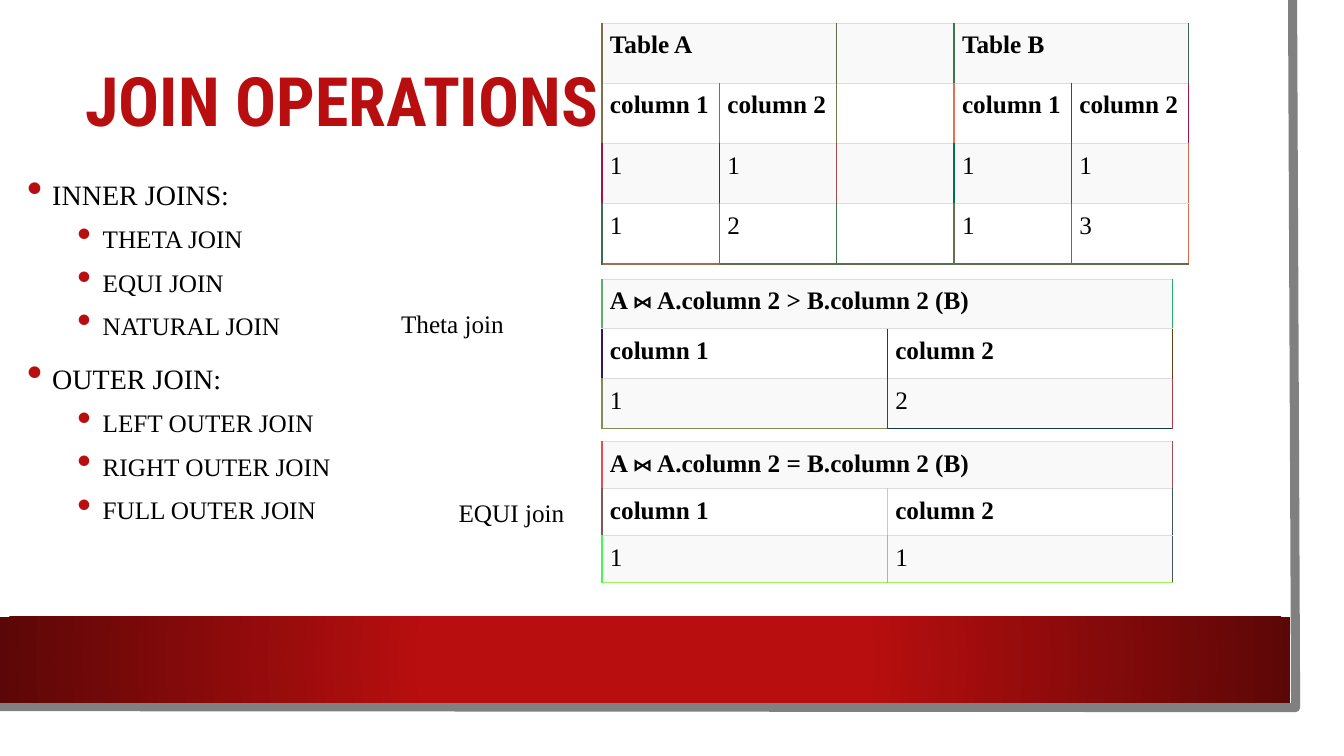
from lxml import etree
from pptx import Presentation
from pptx.dml.color import RGBColor as RGB
from pptx.enum.shapes import MSO_SHAPE as SHAPE
from pptx.enum.text import MSO_ANCHOR as ANCHOR, MSO_AUTO_SIZE as FIT
from pptx.oxml import parse_xml
from pptx.oxml.ns import nsdecls, qn
from pptx.util import Inches, Pt

COLORS = {
    "white": "FFFFFF", "black": "000000", "red": "B80E0F", "dark": "5C0707",
    "gray": "808080", "band": "F9F9F9", "rule": "DDDDDD",
}
# Upright cell edges, one string a row, from left to right
EDGES = {
    "source": ["806B4D 606B4D 606B4D 40744D 40694D 40694D",
               "80714D 80714D 80714D E0724D A0174D A0144D",
               "A0144D 004E4D A04B4D 00714D 206D4D E06C4D",
               "406D4D 60744D 40744D 60744D 60744D E06C4D"],
    "theta": ["60AD6C 20B06C 20B06C", "301962 20460B 60400B",
              "808E55 503A42 B03B42"],
    "equi": ["E04F57 A04F57 A04F57", "805657 A0F556 405657",
             "40FB56 40FB56 405657"],
}
# Bottom edge of each table's last row
BASES = {
    "source": "A06F4D 606D4D 606D4D 606D4D 606D4D",
    "theta": "808D55 103A42",
    "equi": "A0F556 A0F556",
}
SERIF = "Times New Roman"
# None joins a cell to the one on its left
HEADS = ["column 1", "column 2"]
SOURCE = [["Table A", None, "", "Table B", None],
          HEADS + [""] + HEADS,
          ["1", "1", "", "1", "1"],
          ["1", "2", "", "1", "3"]]
THETA = [["A ⋈ A.column 2 > B.column 2 (B)", None], HEADS, ["1", "2"]]
EQUI = [["A ⋈ A.column 2 = B.column 2 (B)", None], HEADS, ["1", "1"]]
JOINS = {
    "INNER JOINS:": ["THETA JOIN", "EQUI JOIN", "NATURAL JOIN"],
    "OUTER JOIN:": ["LEFT OUTER JOIN", "RIGHT OUTER JOIN", "FULL OUTER JOIN"],
}


def write(para, text, size=18, font=SERIF, color="black", bold=False):
    run = para.add_run()
    run.text = text
    run.font.size = Pt(size)
    run.font.name = font
    run.font.bold = bold
    run.font.color.rgb = RGB.from_string(COLORS[color])


def add_box(slide, *at):
    frame = slide.shapes.add_textbox(*map(Inches, at)).text_frame
    frame.word_wrap = True
    return frame


def indent(para, left, hang=0):
    props = para._p.get_or_add_pPr()
    props.set("marL", str(Inches(left)))
    props.set("indent", str(Inches(-hang)))
    return props


def add_rect(slide, *at):
    rect = slide.shapes.add_shape(SHAPE.RECTANGLE, *map(Inches, at))
    rect.shadow.inherit = False
    rect.line.fill.background()
    rect.fill.solid()
    rect.fill.fore_color.rgb = RGB.from_string(COLORS["white"])
    return rect


def glow(shape):
    """Fill a shape with red that darkens away from its centre."""
    old = shape._element.spPr.find(qn("a:solidFill"))
    stops = "".join(
        f'<a:gs pos="{pos * 1000}"><a:srgbClr val="{COLORS[name]}"/></a:gs>'
        for pos, name in ((34, "red"), (100, "dark")))
    mid = " ".join(f'{side}="50000"' for side in "ltrb")
    old.getparent().replace(old, parse_xml(
        f'<a:gradFill {nsdecls("a")} rotWithShape="1"><a:gsLst>{stops}</a:gsLst>'
        f'<a:path path="circle"><a:fillToRect {mid}/></a:path></a:gradFill>'))


def add_frame(slide):
    """Draw the white sheet, its gray edge and the red band."""
    add_rect(slide, 0, 0, 13.1, 7.27)
    path = slide.shapes.build_freeform(Inches(12.82), 0)
    path.add_line_segments([(Inches(12.85), Inches(7.02)),
                            (Inches(-0.03), Inches(7.01))], close=False)
    edge = path.convert_to_shape()
    edge.shadow.inherit = False
    edge.fill.background()
    edge.line.width = Pt(6.5)
    edge.line.color.rgb = RGB.from_string(COLORS["gray"])
    glow(add_rect(slide, 0, 6.12, 12.8, 0.85))


def add_title(slide, text):
    frame = add_box(slide, 0.75, 0.67, 11.37, 1.26)
    frame.margin_top = 0
    para = frame.paragraphs[0]
    para.line_spacing = 0.9
    write(para, text, size=48.6, font="Roboto Condensed", color="red", bold=True)


def add_list(slide, groups):
    frame = add_box(slide, 0.17, 1.38, 12.54, 4.49)
    frame.margin_top = Inches(0.31)
    items = [(text, level) for head, subs in groups.items()
             for text, level in [(head, 0)] + [(sub, 1) for sub in subs]]
    for i, (text, level) in enumerate(items):
        para = frame.add_paragraph() if i else frame.paragraphs[0]
        para.level = level
        props = indent(para, 0.25 + 0.5 * level, 0.25)
        tint = etree.SubElement(props, qn("a:buClr"))
        etree.SubElement(tint, qn("a:srgbClr"), val=COLORS["red"])
        etree.SubElement(props, qn("a:buSzPct"), val="160000")
        etree.SubElement(props, qn("a:buChar"), char="•")
        para.line_spacing = 1.2
        if i:
            para.space_before = Pt(5 if level else 10)
        write(para, text, size=18 if level else 20)


def add_label(slide, text, *at):
    frame = add_box(slide, *at)
    frame.auto_size = FIT.SHAPE_TO_FIT_TEXT
    para = frame.paragraphs[0]
    para.level = 1
    indent(para, 0.5)
    write(para, text)


def set_edges(cell, **sides):
    """Give the cell's L, R, T and B sides a hex colour and a width."""
    props = cell._tc.get_or_add_tcPr()
    for i, (side, (color, width)) in enumerate(sides.items()):
        props.insert(i, parse_xml(
            f'<a:ln{side} {nsdecls("a")} w="{Pt(width)}"><a:solidFill>'
            f'<a:srgbClr val="{color}"/></a:solidFill></a:ln{side}>'))


def add_grid(slide, name, rows, *at):
    left, top, width, height = map(Inches, at)
    last = len(rows) - 1
    table = slide.shapes.add_table(
        len(rows), len(rows[0]), left, top, width, height).table
    table.first_row = table.horz_banding = False
    rule = (COLORS["rule"], 0.75)
    bases = BASES[name].split()
    for r, row in enumerate(rows):
        edges = EDGES[name][r].split()
        for c, text in enumerate(row):
            cell = table.cell(r, c)
            cell.margin_left = cell.margin_right = Inches(0.08)
            cell.margin_top = cell.margin_bottom = Inches(0.08)
            cell.vertical_anchor = ANCHOR.TOP
            cell.fill.solid()
            cell.fill.fore_color.rgb = RGB.from_string(
                COLORS["white" if r % 2 else "band"])
            set_edges(cell, L=(edges[c], 1), R=(edges[c + 1], 1), T=rule,
                      B=(bases[c], 1) if r == last else rule)
            if text is None:
                table.cell(r, c - 1).merge(cell)
            elif text:
                write(cell.text_frame.paragraphs[0], text, bold=r < 2)


def main():
    deck = Presentation()
    deck.slide_width, deck.slide_height = Inches(13.33), Inches(7.5)
    slide = deck.slides.add_slide(deck.slide_layouts[6])
    add_frame(slide)
    add_title(slide, "JOIN OPERATIONS")
    add_list(slide, JOINS)
    add_grid(slide, "source", SOURCE, 5.97, 0.23, 5.82, 2.39)
    add_grid(slide, "theta", THETA, 5.97, 2.77, 5.66, 1.48)
    add_label(slide, "Theta join", 3.38, 3.01, 2.4, 0.4)
    add_grid(slide, "equi", EQUI, 5.97, 4.38, 5.66, 1.4)
    add_label(slide, "EQUI join", 3.95, 4.88, 2.02, 0.4)
    deck.save("out.pptx")


if __name__ == "__main__":
    main()
